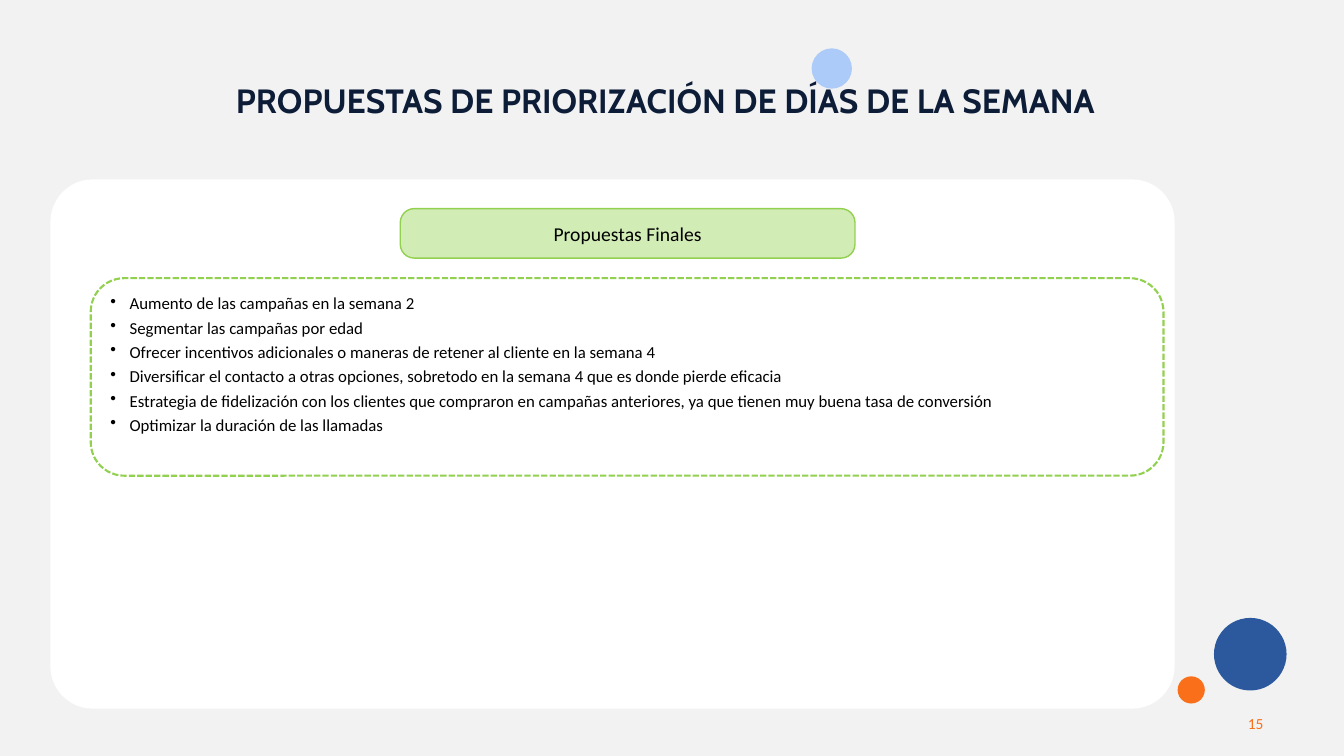
import pptx
import pptx.util
import pptx.dml.color
import pptx.enum.dml
import pptx.enum.shapes
import pptx.enum.text
import lxml.etree
import pptx.oxml.ns

Inches = pptx.util.Inches
Pt = pptx.util.Pt
Color = pptx.dml.color.RGBColor
Shape = pptx.enum.shapes.MSO_SHAPE
Align = pptx.enum.text.PP_ALIGN
Anchor = pptx.enum.text.MSO_ANCHOR

GRAY = Color(0xF2, 0xF2, 0xF2)
WHITE = Color(0xFF, 0xFF, 0xFF)
BLACK = Color(0, 0, 0)
NAVY = Color(0x0D, 0x1D, 0x38)
SKY = Color(0xAC, 0xCB, 0xF9)
BLUE = Color(0x2C, 0x59, 0x9D)
ORANGE = Color(0xFA, 0x6F, 0x1A)
GREEN = Color(0x92, 0xD0, 0x50)
PALE = Color(0xD2, 0xEC, 0xB6)

IDEAS = [
    "Aumento de las campañas en la semana 2",
    "Segmentar las campañas por edad",
    "Ofrecer incentivos adicionales o maneras de retener al cliente en la semana 4",
    "Diversificar el contacto a otras opciones, sobretodo en la semana 4 que es donde pierde eficacia",
    "Estrategia de fidelización con los clientes que compraron en campañas anteriores, "
    "ya que tienen muy buena tasa de conversión",
    "Optimizar la duración de las llamadas",
]


class Page:
    font = "Calibri"

    def __init__(self, deck):
        self.slide = deck.slides.add_slide(deck.slide_layouts[5])
        self.shapes = self.slide.shapes
        fill = self.slide.background.fill
        fill.solid()
        fill.fore_color.rgb = GRAY

    def text(self, shape, lines, size, color, align, anchor, font=None, bold=False):
        frame = shape.text_frame
        frame.word_wrap = True
        frame.auto_size = pptx.enum.text.MSO_AUTO_SIZE.NONE
        frame.vertical_anchor = anchor
        frame.text = "\n".join(lines)
        for par in frame.paragraphs:
            par.alignment = align
            par.font.name = font or self.font
            par.font.size = Pt(size)
            par.font.bold = bold
            par.font.color.rgb = color
        return frame.paragraphs

    def title(self, text, left, top, width, height):
        box = self.shapes.title
        box.left, box.top = Inches(left), Inches(top)
        box.width, box.height = Inches(width), Inches(height)
        self.text(box, [text], 24, NAVY, Align.LEFT, Anchor.TOP, "Cabin", True)
        box.element.getparent().append(box.element)

    def label(self, text, left, top, width, height):
        box = self.shapes.add_textbox(*map(Inches, (left, top, width, height)))
        self.text(box, [text], 11, ORANGE, Align.RIGHT, Anchor.MIDDLE)

    def shape(self, kind, left, top, width, height, fill=None, line=None, weight=1):
        item = self.shapes.add_shape(kind, *map(Inches, (left, top, width, height)))
        item.shadow.inherit = False
        if fill is None:
            item.fill.background()
        else:
            item.fill.solid()
            item.fill.fore_color.rgb = fill
        if line is None:
            item.line.fill.background()
        else:
            item.line.color.rgb = line
            item.line.width = Pt(weight)
        return item

    def dot(self, left, top, size, fill):
        self.shape(Shape.OVAL, left, top, size, size, fill)

    def card(self, left, top, width, height, curve, **style):
        item = self.shape(Shape.ROUNDED_RECTANGLE, left, top, width, height, **style)
        item.adjustments[0] = curve
        return item

    def bullets(self, shape, lines):
        for par in self.text(shape, lines, 12, BLACK, Align.JUSTIFY, Anchor.TOP):
            par.space_before = Pt(3)
            props = par._p.get_or_add_pPr()
            props.set("marL", str(Inches(0.19)))
            props.set("indent", str(-Inches(0.19)))
            mark = lxml.etree.Element(pptx.oxml.ns.qn("a:buChar"), char="•")
            props.find(pptx.oxml.ns.qn("a:spcBef")).addnext(mark)


def main():
    deck = pptx.Presentation()
    deck.slide_width = Inches(13.33)
    deck.slide_height = Inches(7.5)
    page = Page(deck)

    page.label("15", 9.63, 6.98, 3, 0.4)
    page.dot(8.05, 0.48, 0.4, SKY)
    page.dot(12.04, 6.13, 0.72, BLUE)
    page.dot(11.68, 6.71, 0.27, ORANGE)
    page.card(0.5, 1.78, 11.15, 5.25, 0.08, fill=WHITE)
    page.title("PROPUESTAS DE PRIORIZACIÓN DE DÍAS DE LA SEMANA", 2.24, 0.74, 12.28, 0.77)

    frame = page.card(0.9, 2.76, 10.64, 1.96, 0.17, line=GREEN, weight=1.5)
    frame.line.dash_style = pptx.enum.dml.MSO_LINE.SQUARE_DOT
    page.bullets(frame, IDEAS)

    head = page.card(3.97, 2.07, 4.51, 0.49, 0.28, fill=PALE, line=GREEN)
    page.text(head, ["Propuestas Finales"], 14, BLACK, Align.CENTER, Anchor.MIDDLE)

    deck.save("out.pptx")


if __name__ == "__main__":
    main()
